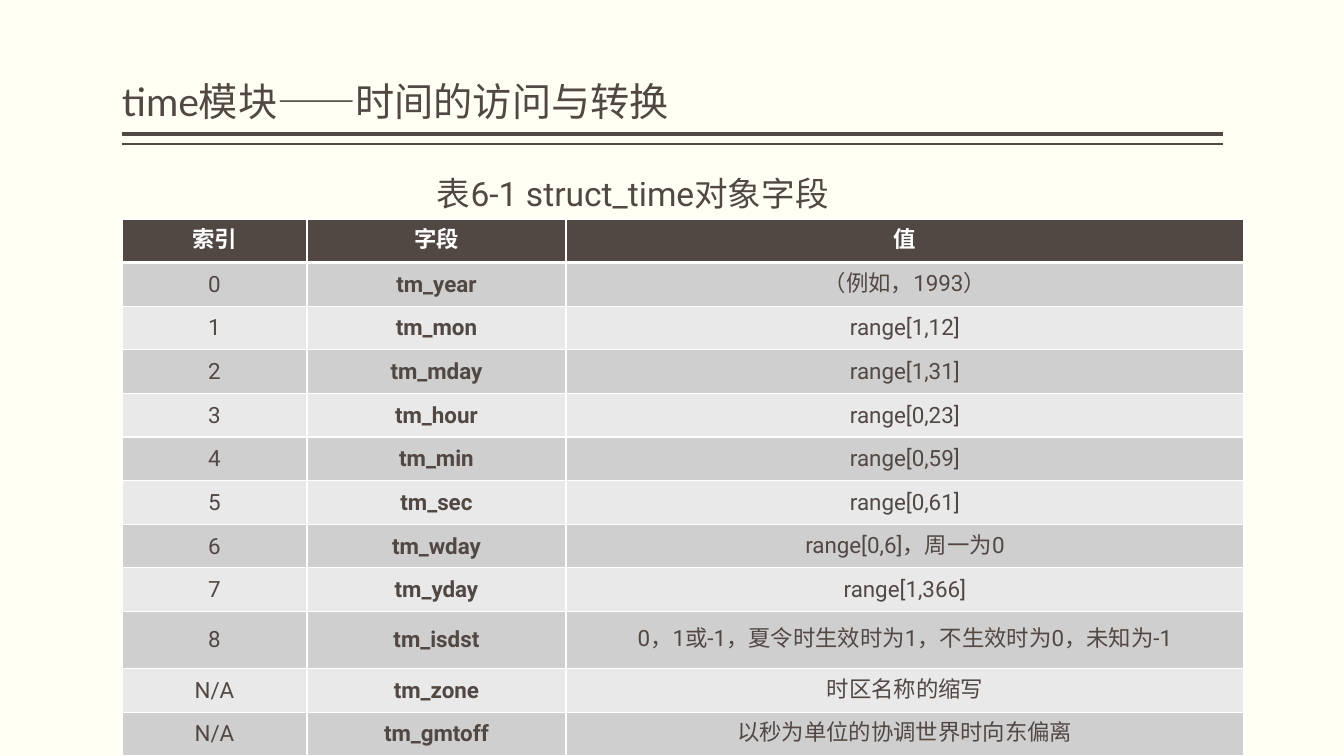
from typing import NamedTuple

import lxml.etree
import pptx
import pptx.dml.color
import pptx.enum.shapes
import pptx.enum.text
import pptx.oxml.ns
import pptx.util

SLIDE_WIDTH, SLIDE_HEIGHT = 1344, 756
EMU_PER_PX = 12192000 / SLIDE_WIDTH
CREAM = pptx.dml.color.RGBColor(0xFF, 0xFF, 0xF3)
BROWN = pptx.dml.color.RGBColor(0x51, 0x48, 0x43)
WHITE = pptx.dml.color.RGBColor(0xFF, 0xFF, 0xFF)
DARK_BAND = pptx.dml.color.RGBColor(0xD0, 0xCF, 0xCF)
LIGHT_BAND = pptx.dml.color.RGBColor(0xE9, 0xE9, 0xE9)
MIDDLE = pptx.enum.text.MSO_ANCHOR.MIDDLE
LEFT, RIGHT = 122, 1223
TABLE_TOP = 219
COLUMN_WIDTHS = (185, 259, 678)
TALL_FIELD, TALL_HEIGHT = "tm_isdst", 57


class Rule(NamedTuple):
    """A horizontal rule below the title."""
    y: int
    weight: int


class Label(NamedTuple):
    """A line of text in its own box."""
    text: str
    left: int
    top: int
    width: int
    height: int
    font: str
    size: int
    anchor: pptx.enum.text.MSO_ANCHOR
    side_inset: int


class Field(NamedTuple):
    """A row of the table."""
    index: str
    name: str
    value: str


RULES = (Rule(134, 3), Rule(144, 1))
LABELS = (
    Label("time模块——时间的访问与转换", LEFT, 8, RIGHT - LEFT, 121, "Lato", 28,
          pptx.enum.text.MSO_ANCHOR.BOTTOM, 0),
    Label("表6-1 struct_time对象字段", 427, 168, 681, 50, "Roboto", 24,
          pptx.enum.text.MSO_ANCHOR.TOP, 10),
)
FIELDS = (
    Field("索引", "字段", "值"),
    Field("0", "tm_year", "（例如，1993）"),
    Field("1", "tm_mon", "range[1,12]"),
    Field("2", "tm_mday", "range[1,31]"),
    Field("3", "tm_hour", "range[0,23]"),
    Field("4", "tm_min", "range[0,59]"),
    Field("5", "tm_sec", "range[0,61]"),
    Field("6", "tm_wday", "range[0,6]，周一为0"),
    Field("7", "tm_yday", "range[1,366]"),
    Field("8", TALL_FIELD, "0，1或-1，夏令时生效时为1，不生效时为0，未知为-1"),
    Field("N/A", "tm_zone", "时区名称的缩写"),
    Field("N/A", "tm_gmtoff", "以秒为单位的协调世界时向东偏离"),
)


def px(length: int) -> pptx.util.Emu:
    """Turn pixels into EMU."""
    return pptx.util.Emu(round(length * EMU_PER_PX))


def style_font(font, name: str, size: int, color: pptx.dml.color.RGBColor, bold: bool = False) -> None:
    """Set the face, size, colour and weight of a font."""
    font.name = name
    font.size = pptx.util.Pt(size)
    font.color.rgb = color
    font.bold = bold


def add_rule(slide, rule: Rule) -> None:
    """Draw a rule across the content width."""
    connector = slide.shapes.add_connector(
        pptx.enum.shapes.MSO_CONNECTOR.STRAIGHT, px(LEFT), px(rule.y), px(RIGHT), px(rule.y))
    connector.line.color.rgb = BROWN
    connector.line.width = pptx.util.Pt(rule.weight)
    properties = connector.element.spPr
    lxml.etree.SubElement(properties, pptx.oxml.ns.qn("a:effectLst"))


def add_label(slide, label: Label) -> None:
    """Draw a text box with one paragraph."""
    shape = slide.shapes.add_textbox(px(label.left), px(label.top), px(label.width), px(label.height))
    frame = shape.text_frame
    frame.word_wrap = True
    frame.vertical_anchor = label.anchor
    frame.margin_left = frame.margin_right = px(label.side_inset)
    paragraph = frame.paragraphs[0]
    paragraph.text = label.text
    style_font(paragraph.font, label.font, label.size, BROWN)


def set_borders(cell, top: int, bottom: int) -> None:
    """Give a cell white borders, one point wide at the sides."""
    properties = cell._tc.get_or_add_tcPr()
    weights = {"a:lnL": 1, "a:lnR": 1, "a:lnT": top, "a:lnB": bottom}
    for position, (tag, weight) in enumerate(weights.items()):
        line = lxml.etree.Element(pptx.oxml.ns.qn(tag), w=str(pptx.util.Pt(weight)))
        fill = lxml.etree.SubElement(line, pptx.oxml.ns.qn("a:solidFill"))
        lxml.etree.SubElement(fill, pptx.oxml.ns.qn("a:srgbClr"), val=str(WHITE))
        properties.insert(position, line)


def fill_cell(cell, text: str, row: int, column: int) -> None:
    """Write and style one table cell."""
    header = row == 0
    cell.fill.solid()
    cell.fill.fore_color.rgb = BROWN if header else DARK_BAND if row % 2 else LIGHT_BAND
    cell.vertical_anchor = MIDDLE
    cell.margin_left = cell.margin_right = px(7)
    cell.margin_top = cell.margin_bottom = 0
    paragraph = cell.text_frame.paragraphs[0]
    paragraph.text = text
    paragraph.alignment = pptx.enum.text.PP_ALIGN.CENTER
    paragraph.line_spacing = pptx.util.Pt(19)
    style_font(paragraph.font, "Roboto", 16, WHITE if header else BROWN, header or column == 1)
    set_borders(cell, 3 if row == 1 else 1, 3 if header else 1)


def add_field_table(slide) -> None:
    """Draw the table of fields down to the slide's bottom edge."""
    height = SLIDE_HEIGHT - TABLE_TOP
    table = slide.shapes.add_table(
        len(FIELDS), len(COLUMN_WIDTHS), px(LEFT), px(TABLE_TOP), px(sum(COLUMN_WIDTHS)), px(height)).table
    for column, width in zip(table.columns, COLUMN_WIDTHS):
        column.width = px(width)
    regular_height = px(height - TALL_HEIGHT) // (len(FIELDS) - 1)
    for row, field in enumerate(FIELDS):
        table.rows[row].height = px(TALL_HEIGHT) if field.name == TALL_FIELD else regular_height
        for column, text in enumerate(field):
            fill_cell(table.cell(row, column), text, row, column)


def main() -> None:
    """Build and save the slide."""
    presentation = pptx.Presentation()
    presentation.slide_width, presentation.slide_height = px(SLIDE_WIDTH), px(SLIDE_HEIGHT)
    slide = presentation.slides.add_slide(presentation.slide_layouts[6])
    slide.background.fill.solid()
    slide.background.fill.fore_color.rgb = CREAM
    for rule in RULES:
        add_rule(slide, rule)
    for label in LABELS:
        add_label(slide, label)
    add_field_table(slide)
    presentation.save("out.pptx")


if __name__ == "__main__":
    main()
